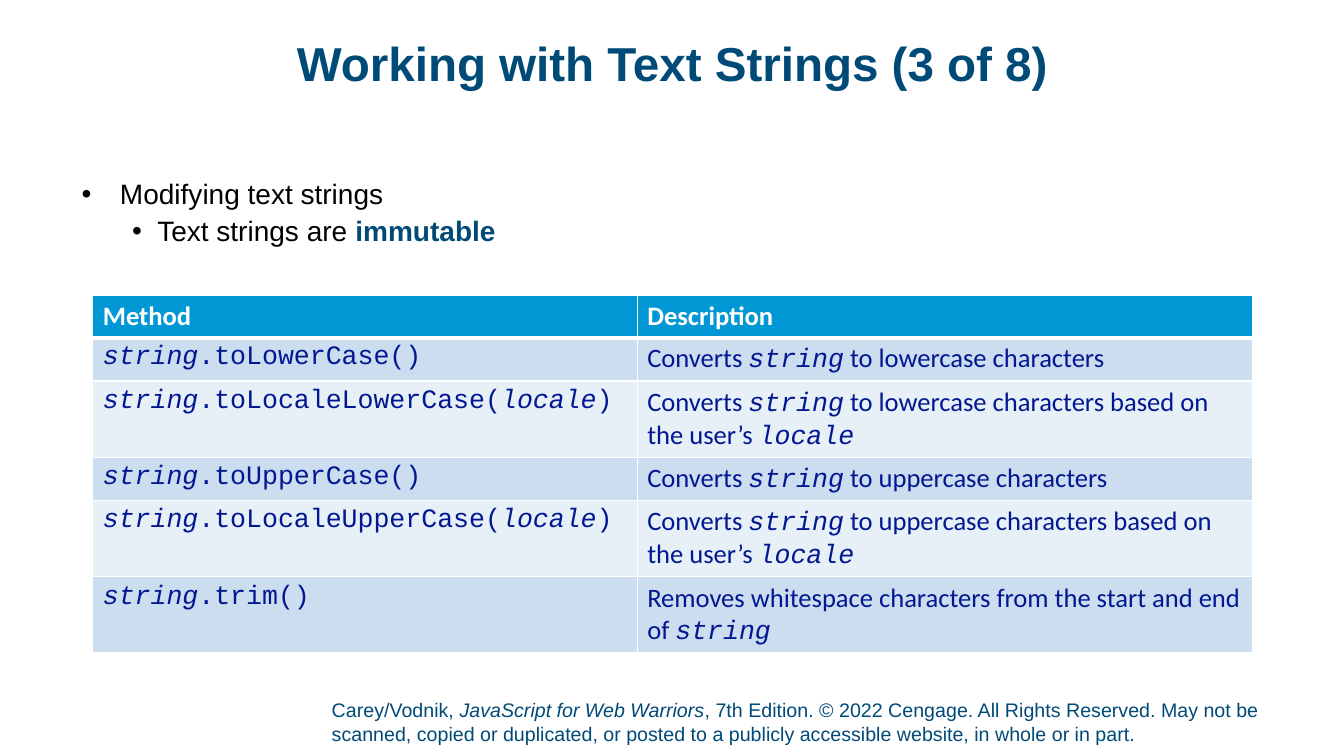
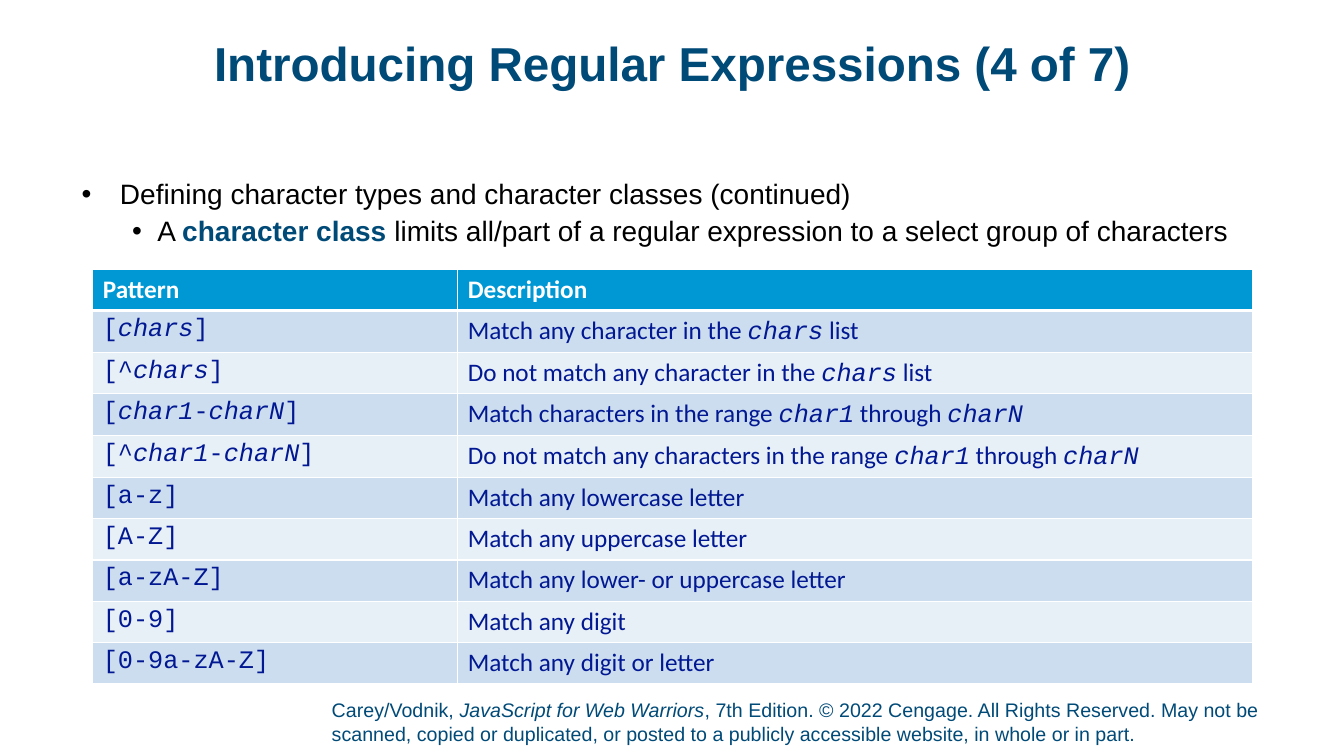
import pptx
import pptx.dml.color
import pptx.enum.text
import pptx.oxml
import pptx.oxml.ns
import pptx.util
from dataclasses import dataclass

Inches, Pt = pptx.util.Inches, pptx.util.Pt
Anchor = pptx.enum.text.MSO_ANCHOR


@dataclass(frozen=True)
class Theme:
    sans: str = "Arial"
    table_font: str = "Calibri"
    code_font: str = "Courier New"
    accent: str = "004A78"
    text: str = "000000"
    header_fill: str = "0098D4"
    white: str = "FFFFFF"
    cell_text: str = "011892"
    bands: tuple = ("CCDDEF", "E7EFF7")
    title_size: int = 34
    body_size: int = 20
    footer_size: int = 14


THEME = Theme()
WIDTH, HEIGHT = 13.33, 7.5
MARGIN, CONTENT_WIDTH, ROW_HEIGHT = 0.92, 11.5, 0.41
TITLE_BOX = (MARGIN, 0.4, CONTENT_WIDTH, 0.74)
FOOTER_BOX = (3.29, 6.92, 9.79, 0.52)
BODY_LEFT, BODY_TOP, BODY_WIDTH = 0.81, 1.79, 11.71
# Left margin, hanging indent and space before for each list level
LEVELS = ((0.38, 0.38, 0), (0.75, 0.25, 5))

# Asterisks enclose the emphasised parts of a text.
FOOTER = (
    "Carey/Vodnik, *JavaScript for Web Warriors*, 7th Edition. © 2022 Cengage. "
    "All Rights Reserved. May not be scanned, copied or duplicated, or posted to "
    "a publicly accessible website, in whole or in part."
)
SLIDES = [
    {
        "title": "Working with Text Strings (3 of 8)",
        "bullets": ["Modifying text strings", "Text strings are *immutable*"],
        "body_height": 1.6,
        "table_top": 2.93,
        "first_column": 5.4,
        "table_size": 19,
        "rows": [
            ("Method", "Description"),
            ("*string*.toLowerCase()", "Converts *string* to lowercase characters"),
            ("*string*.toLocaleLowerCase(*locale*)",
             "Converts *string* to lowercase characters based on the user’s *locale*"),
            ("*string*.toUpperCase()", "Converts *string* to uppercase characters"),
            ("*string*.toLocaleUpperCase(*locale*)",
             "Converts *string* to uppercase characters based on the user’s *locale*"),
            ("*string*.trim()",
             "Removes whitespace characters from the start and end of *string*"),
        ],
    },
    {
        "title": "Introducing Regular Expressions (4 of 7)",
        "bullets": [
            "Defining character types and character classes (continued)",
            "A *character class* limits all/part of a regular expression to a select "
            "group of characters",
        ],
        "body_height": 1.04,
        "table_top": 2.67,
        "first_column": 3.62,
        "table_size": 18,
        "rows": [
            ("Pattern", "Description"),
            ("[*chars*]", "Match any character in the *chars* list"),
            ("[^*chars*]", "Do not match any character in the *chars* list"),
            ("[*char1*-*charN*]",
             "Match characters in the range *char1* through *charN*"),
            ("[^*char1*-*charN*]",
             "Do not match any characters in the range *char1* through *charN*"),
            ("[a-z]", "Match any lowercase letter"),
            ("[A-Z]", "Match any uppercase letter"),
            ("[a-zA-Z]", "Match any lower- or uppercase letter"),
            ("[0-9]", "Match any digit"),
            ("[0-9a-zA-Z]", "Match any digit or letter"),
        ],
    },
]


def rgb(color):
    return pptx.dml.color.RGBColor.from_string(color)


def set_font(font, name=None, size=None, color=None, bold=None, italic=None):
    """Set only the font properties that are given."""
    if name:
        font.name = name
    if size:
        font.size = Pt(size)
    if color:
        font.color.rgb = rgb(color)
    if bold is not None:
        font.bold = bold
    if italic is not None:
        font.italic = italic


def write(paragraph, text, base, emphasis):
    """Write marked text in the base font, with emphasis on the marked parts."""
    set_font(paragraph.font, **base)
    for index, part in enumerate(text.split("*")):
        if part:
            run = paragraph.add_run()
            run.text = part
            set_font(run.font, **base)
            if index % 2:
                set_font(run.font, **emphasis)


def place(shape, box):
    shape.left, shape.top, shape.width, shape.height = map(Inches, box)


def prepare_frame(shape, anchor=Anchor.TOP, bottom=0):
    frame = shape.text_frame
    frame.word_wrap = True
    frame.auto_size = pptx.enum.text.MSO_AUTO_SIZE.NONE
    frame.vertical_anchor = anchor
    frame.margin_left = frame.margin_top = frame.margin_right = 0
    frame.margin_bottom = Inches(bottom)
    return frame


def add_xml(parent, xml):
    namespace = pptx.oxml.ns.nsdecls("a")
    parent.append(pptx.oxml.parse_xml(xml.replace(" ", f" {namespace} ", 1)))


def add_title(slide, text):
    title = slide.shapes.title
    place(title, TITLE_BOX)
    paragraph = prepare_frame(title).paragraphs[0]
    paragraph.alignment = pptx.enum.text.PP_ALIGN.CENTER
    paragraph.line_spacing = 0.9
    base = dict(name=THEME.sans, size=THEME.title_size, color=THEME.accent, bold=True)
    write(paragraph, text, base, {})


def add_bullets(slide, bullets, height):
    body = slide.placeholders[1]
    place(body, (BODY_LEFT, BODY_TOP, BODY_WIDTH, height))
    frame = prepare_frame(body)
    base = dict(name=THEME.sans, size=THEME.body_size, color=THEME.text)
    for level, (text, (margin, hanging, before)) in enumerate(zip(bullets, LEVELS)):
        paragraph = frame.add_paragraph() if level else frame.paragraphs[0]
        paragraph.level = level
        paragraph.line_spacing = 0.9
        paragraph.space_before = Pt(before)
        properties = paragraph._p.get_or_add_pPr()
        properties.set("marL", str(Inches(margin)))
        properties.set("indent", str(-Inches(hanging)))
        add_xml(properties, f'<a:buClr ><a:srgbClr val="{THEME.text}"/></a:buClr>')
        add_xml(properties, '<a:buFont typeface="Arial"/>')
        add_xml(properties, '<a:buChar char="•"/>')
        write(paragraph, text, base, dict(color=THEME.accent, bold=True))


def style_cell(cell, fill, bottom_width):
    properties = cell._tc.get_or_add_tcPr()
    for side, width in (("L", 1), ("R", 1), ("T", 1), ("B", bottom_width)):
        add_xml(properties, f'<a:ln{side} w="{Pt(width)}"><a:solidFill>'
                            f'<a:srgbClr val="{THEME.white}"/></a:solidFill></a:ln{side}>')
    cell.fill.solid()
    cell.fill.fore_color.rgb = rgb(fill)


def add_method_table(slide, rows, top, first_column, size):
    box = (MARGIN, top, CONTENT_WIDTH, ROW_HEIGHT * len(rows))
    table = slide.shapes.add_table(len(rows), 2, *map(Inches, box)).table
    table.columns[0].width = Inches(first_column)
    table.columns[1].width = Inches(CONTENT_WIDTH - first_column)
    emphasis = dict(name=THEME.code_font, italic=True)
    for row_index, row in enumerate(rows):
        header = row_index == 0
        fill = THEME.header_fill if header else THEME.bands[(row_index - 1) % 2]
        for column, text in enumerate(row):
            cell = table.cell(row_index, column)
            style_cell(cell, fill, 3 if header else 1)
            code = column == 0 and not header
            base = dict(name=THEME.code_font if code else THEME.table_font, size=size,
                        color=THEME.white if header else THEME.cell_text, bold=header)
            write(cell.text_frame.paragraphs[0], text, base, emphasis)


def add_footer(slide):
    box = slide.shapes.add_textbox(*map(Inches, FOOTER_BOX))
    frame = prepare_frame(box, Anchor.BOTTOM, 0.05)
    base = dict(name=THEME.sans, size=THEME.footer_size, color=THEME.accent)
    write(frame.paragraphs[0], FOOTER, base, dict(italic=True))


def main():
    presentation = pptx.Presentation()
    presentation.slide_width = Inches(WIDTH)
    presentation.slide_height = Inches(HEIGHT)
    for content in SLIDES:
        slide = presentation.slides.add_slide(presentation.slide_layouts[1])
        add_footer(slide)
        add_title(slide, content["title"])
        add_bullets(slide, content["bullets"], content["body_height"])
        add_method_table(slide, content["rows"], content["table_top"],
                         content["first_column"], content["table_size"])
    presentation.save("out.pptx")


if __name__ == "__main__":
    main()
